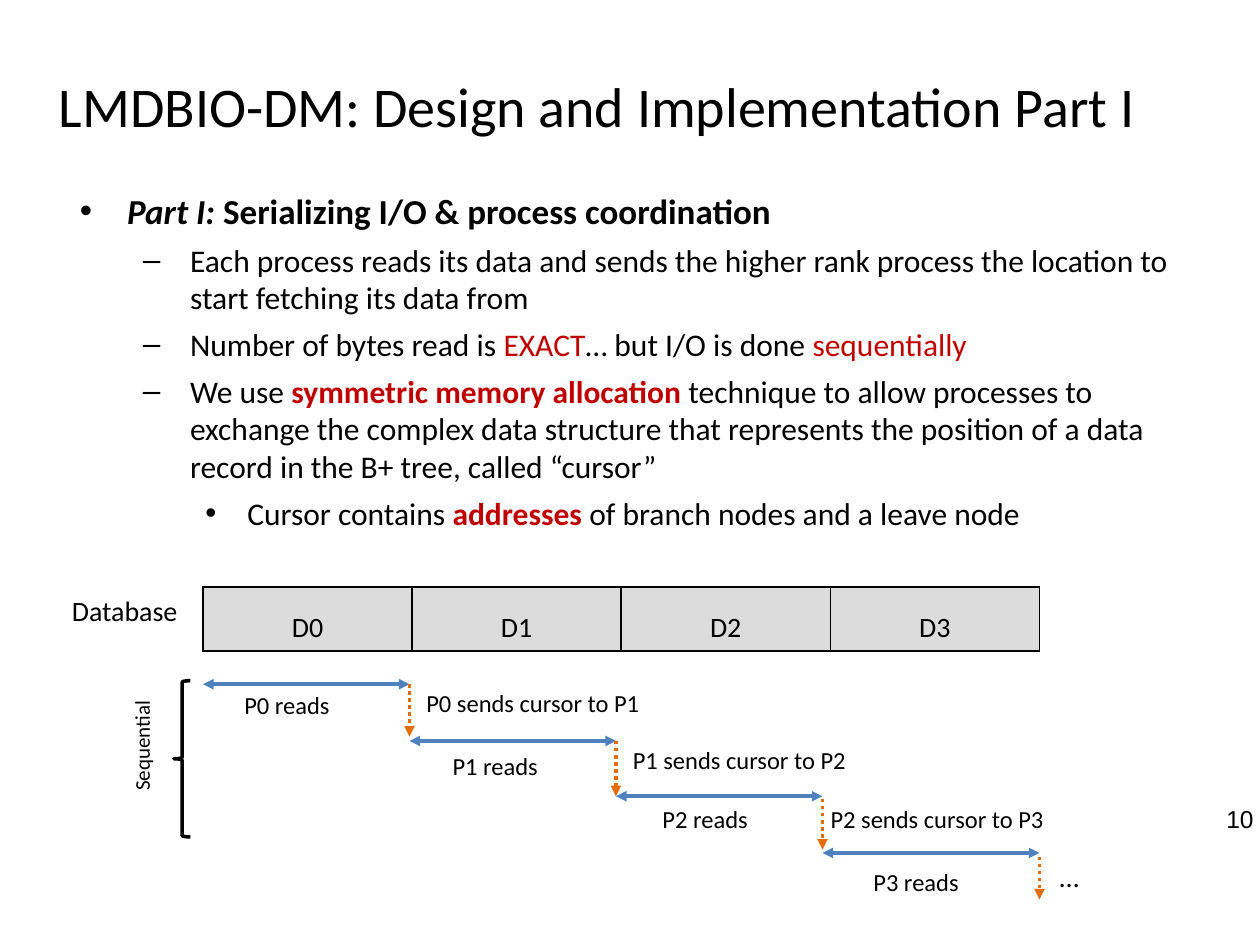
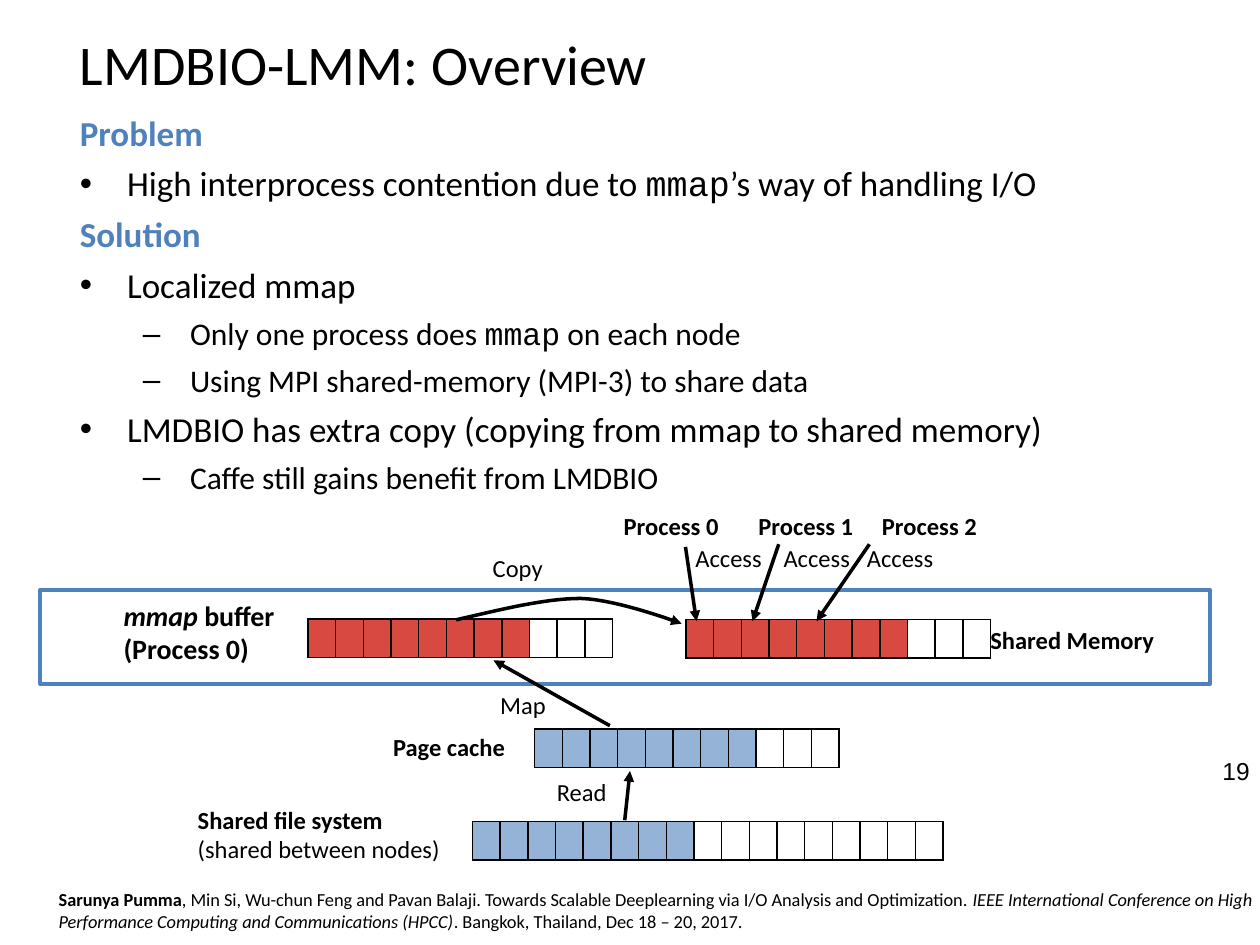
from typing import Any, NamedTuple

from lxml.etree import SubElement
from pptx import Presentation
from pptx.dml.color import RGBColor
from pptx.enum.dml import MSO_LINE
from pptx.enum.shapes import MSO_CONNECTOR, MSO_SHAPE
from pptx.enum.text import MSO_ANCHOR, MSO_AUTO_SIZE, PP_ALIGN
from pptx.oxml.ns import qn
from pptx.util import Pt

HUES = {
    "ink": "000000", "blue": "4F81BD", "red": "C00000", "orange": "E46C0A",
    "gray": "DCDCDC", "sky": "95B3D7", "brick": "D84942",
}
BOLD = {"bold": True}
ITALIC = {"italic": True}
CODE = {"name": "Courier New"}
HEAD = {"bold": True, "hue": "blue"}
RED = {"hue": "red"}
KEY = {"bold": True, "hue": "red"}
INSET = Pt(3.6)
MARKS = {0: ("•", 27, 27), 1: ("–", 63, 27), 2: ("•", 95.76, 24)}
SIZES = {None: 20, 0: 20, 1: 18, 2: 18}
CELL_W, CELL_H, USED = 15.82, 22, 8


class Run(NamedTuple):
    text: str
    form: dict[str, Any] = {}


class Item(NamedTuple):
    level: int | None
    runs: list[Run]


class Label(NamedTuple):
    left: float
    top: float
    width: float
    height: float
    lines: list[list[Run]]
    size: float = 14


class Step(NamedTuple):
    """One process: its read span, then the cursor drop to the next one."""
    left: float
    right: float
    top: float
    read: tuple[float, float]
    drop: tuple[float, float]
    note: Label


class Strip(NamedTuple):
    left: float
    top: float
    count: int
    hue: str


class Arrow(NamedTuple):
    x1: float
    y1: float
    x2: float
    y2: float


def rgb(hue: str) -> RGBColor:
    return RGBColor.from_string(HUES[hue])


def add_runs(para, runs: list[Run], size: float) -> None:
    for text, form in runs:
        run = para.add_run()
        run.text = text
        look = {"name": "Calibri", "size": Pt(size), "hue": "ink"} | form
        run.font.color.rgb = rgb(look.pop("hue"))
        for key, value in look.items():
            setattr(run.font, key, value)


def set_frame(frame, anchor=MSO_ANCHOR.TOP) -> None:
    form = {
        "word_wrap": True, "auto_size": MSO_AUTO_SIZE.NONE, "vertical_anchor": anchor,
        "margin_left": INSET, "margin_right": INSET,
        "margin_top": INSET, "margin_bottom": INSET,
    }
    for key, value in form.items():
        setattr(frame, key, value)


def add_label(slide, label: Label):
    box = slide.shapes.add_textbox(*map(Pt, label[:4]))
    frame = box.text_frame
    set_frame(frame)
    for i, runs in enumerate(label.lines):
        para = frame.add_paragraph() if i else frame.paragraphs[0]
        add_runs(para, runs, label.size)
    return box


def add_word(slide, text: str, left: float, top: float, width: float,
             form: dict[str, Any] = {}) -> None:
    add_label(slide, Label(left, top, width, 24.3, [[Run(text, form)]]))


def add_body(slide, top: float, width: float, height: float, items: list[Item]) -> None:
    box = slide.shapes.add_textbox(Pt(42), Pt(top), Pt(width), Pt(height))
    frame = box.text_frame
    set_frame(frame)
    for i, (level, runs) in enumerate(items):
        para = frame.add_paragraph() if i else frame.paragraphs[0]
        if i:
            para.space_before = Pt(5)
        if level is not None:
            mark, left, hang = MARKS[level]
            para.level = level
            props = para._p.get_or_add_pPr()
            props.set("marL", str(Pt(left)))
            props.set("indent", str(-Pt(hang)))
            SubElement(props, qn("a:buFont")).set("typeface", "Arial")
            SubElement(props, qn("a:buChar")).set("char", mark)
        add_runs(para, runs, SIZES[level])


def start_slide(deck, title: str, left: float, top: float, width: float):
    slide = deck.slides.add_slide(deck.slide_layouts[5])
    head = slide.shapes.title
    box = {"left": left, "top": top, "width": width, "height": 84}
    for key, value in box.items():
        setattr(head, key, Pt(value))
    set_frame(head.text_frame, MSO_ANCHOR.MIDDLE)
    para = head.text_frame.paragraphs[0]
    para.alignment = PP_ALIGN.LEFT
    add_runs(para, [Run(title)], 32)
    return slide


def add_number(slide, text: str, right: float, top: float) -> None:
    run = Run(text, {"name": "Arial"})
    box = add_label(slide, Label(right - 30, top, 30, 23, [[run]]))
    box.text_frame.paragraphs[0].alignment = PP_ALIGN.RIGHT


def add_ends(shape, *ends: str) -> None:
    line = shape.element.spPr.find(qn("a:ln"))
    for end in ends:
        SubElement(line, qn(f"a:{end}")).set("type", "triangle")


def add_arrow(slide, arrow: Arrow, hue: str = "ink", both: bool = False,
              dash=None) -> None:
    link = slide.shapes.add_connector(MSO_CONNECTOR.STRAIGHT, *map(Pt, arrow))
    link.line.color.rgb = rgb(hue)
    link.line.width = Pt(2)
    if dash:
        link.line.dash_style = dash
    add_ends(link, *(["headEnd"] if both else []), "tailEnd")
    SubElement(link.element.spPr, qn("a:effectLst"))


def set_outline(shape, hue: str) -> None:
    shape.shadow.inherit = False
    shape.fill.background()
    shape.line.color.rgb = rgb(hue)
    shape.line.width = Pt(2)


def add_row(slide, left: float, top: float, width: float, height: float,
            fills: list[str | None]) -> list:
    """Draw a one-row table with thin black borders and return its cells."""
    count = len(fills)
    grid = slide.shapes.add_table(
        1, count, Pt(left), Pt(top), Pt(width * count), Pt(height)).table
    grid.first_row = grid.horz_banding = False
    for col in grid.columns:
        col.width = Pt(width)
    cells = [grid.cell(0, i) for i in range(count)]
    for cell, fill in zip(cells, fills):
        for side in ("left", "right", "top", "bottom"):
            setattr(cell, f"margin_{side}", 0)
        cell.vertical_anchor = MSO_ANCHOR.MIDDLE
        props = cell._tc.get_or_add_tcPr()
        for side in ("lnL", "lnR", "lnT", "lnB"):
            line = SubElement(props, qn(f"a:{side}"), w=str(Pt(1)))
            paint = SubElement(line, qn("a:solidFill"))
            SubElement(paint, qn("a:srgbClr"), val=HUES["ink"])
        if fill:
            cell.fill.solid()
            cell.fill.fore_color.rgb = rgb(fill)
        else:
            cell.fill.background()
    return cells


def add_curve(slide, *knots: tuple[float, float]) -> None:
    """Draw chained cubic curves as one open outline with an arrowhead."""
    points = []
    for at in range(0, len(knots) - 1, 3):
        for n in range(1, 17):
            t = n / 16
            parts = ((1 - t) ** 3, 3 * t * (1 - t) ** 2, 3 * t * t * (1 - t), t ** 3)
            points.append(tuple(
                Pt(sum(p * k[axis] for p, k in zip(parts, knots[at:at + 4])))
                for axis in (0, 1)))
    pen = slide.shapes.build_freeform(*map(Pt, knots[0]))
    pen.add_line_segments(points, close=False)
    shape = pen.convert_to_shape()
    set_outline(shape, "ink")
    add_ends(shape, "tailEnd")


def draw_design(deck) -> None:
    slide = start_slide(deck, "LMDBIO-DM: Design and Implementation Part I", 30, 18, 642)
    add_body(slide, 105, 642, 225, [
        Item(0, [Run("Part I: ", BOLD | ITALIC),
                 Run("Serializing I/O & process coordination", BOLD)]),
        Item(1, [Run("Each process reads its data and sends the higher rank process "
                     "the location to start fetching its data from")]),
        Item(1, [Run("Number of bytes read is "), Run("EXACT", RED),
                 Run("… but I/O is done "), Run("sequentially", RED)]),
        Item(1, [Run("We use "), Run("symmetric memory allocation ", KEY),
                 Run("technique to allow processes to exchange the complex data "
                     "structure that represents the position of a data record in "
                     "the B+ tree, called “cursor”")]),
        Item(2, [Run("Cursor contains "), Run("addresses", KEY),
                 Run(" of branch nodes and a leave node")]),
    ])
    add_number(slide, "10", 720, 456)

    for i, cell in enumerate(add_row(slide, 116, 335.5, 119.5, 36.5, ["gray"] * 4)):
        para = cell.text_frame.paragraphs[0]
        para.alignment = PP_ALIGN.CENTER
        para.line_spacing = 1.5
        add_runs(para, [Run(f"D{i}")], 16)
    add_label(slide, Label(37.5, 335.5, 78, 26.6, [[Run("Database")]], 16))

    brace = slide.shapes.add_shape(
        MSO_SHAPE.LEFT_BRACE, Pt(99.4), Pt(389), Pt(9.4), Pt(89.3))
    set_outline(brace, "ink")
    side = add_label(slide, Label(40.3, 404, 81.4, 21.6, [[Run("Sequential")]], 12))
    side.rotation = 270

    def sends(i: int, left: float, top: float) -> Label:
        return Label(left, top, 168, 24, [[Run(f"P{i} sends cursor to P{i + 1}")]])

    steps = [
        Step(116, 234, 391, (136, 391), (391, 421), sends(0, 240, 389.5)),
        Step(234, 352, 423.4, (255, 425.5), (423.4, 455), sends(1, 358, 422)),
        Step(352, 470, 455, (375, 456), (456.5, 485.5), sends(2, 471, 456)),
        Step(470, 594, 487.4, (495.5, 492), (489.6, 514),
             Label(602, 487.4, 31, 26.6, [[Run("…")]], 16)),
    ]
    for i, step in enumerate(steps):
        add_arrow(slide, Arrow(step.left, step.top, step.right, step.top), "blue", True)
        add_arrow(slide, Arrow(step.right, step.drop[0], step.right, step.drop[1]),
                  "orange", dash=MSO_LINE.ROUND_DOT)
        add_word(slide, f"P{i} reads", *step.read, 60.5)
        add_label(slide, step.note)


def draw_overview(deck) -> None:
    slide = start_slide(deck, "LMDBIO-LMM: Overview", 42, -6, 612)
    add_body(slide, 60, 612, 444, [
        Item(None, [Run("Problem", HEAD)]),
        Item(0, [Run("High interprocess contention due to "), Run("mmap", CODE),
                 Run("’s way of handling I/O")]),
        Item(None, [Run("Solution", HEAD)]),
        Item(0, [Run("Localized mmap")]),
        Item(1, [Run("Only one process does "), Run("mmap", CODE),
                 Run(" on each node")]),
        Item(1, [Run("Using MPI shared-memory (MPI-3) to share data")]),
        Item(0, [Run("LMDBIO has extra copy (copying from mmap to shared memory)")]),
        Item(1, [Run("Caffe still gains benefit from LMDBIO")]),
    ])
    add_number(slide, "19", 717.8, 428.4)

    frame = slide.shapes.add_shape(
        MSO_SHAPE.RECTANGLE, Pt(23), Pt(337), Pt(668.5), Pt(54))
    set_outline(frame, "blue")
    strips = [
        Strip(270, 469.5, 17, "sky"), Strip(305.5, 416.6, 11, "sky"),
        Strip(176, 353.7, 11, "brick"), Strip(392, 354, 11, "brick"),
    ]
    for left, top, count, hue in strips:
        fills = [hue] * USED + [None] * (count - USED)
        add_row(slide, left, top, CELL_W, CELL_H, fills)

    labels = [
        Label(109.4, 456.5, 178.5, 41, [[Run("Shared file system", BOLD)],
                                        [Run("(shared between nodes)")]]),
        Label(67, 338.4, 121, 46, [[Run("mmap ", BOLD | ITALIC), Run("buffer", BOLD)],
                                   [Run("(Process 0)", BOLD)]], 16),
        Label(30, 504, 690, 34, [[
            Run("Sarunya Pumma", BOLD),
            Run(", Min Si, Wu-chun Feng and Pavan Balaji. Towards Scalable "
                "Deeplearning via I/O Analysis and Optimization. "),
            Run("IEEE International Conference on High Performance Computing and "
                "Communications (HPCC)", ITALIC),
            Run(". Bangkok, Thailand, Dec 18 – 20, 2017.")]], 10.5),
    ]
    for label in labels:
        add_label(slide, label)
    add_word(slide, "Page cache", 221, 414.7, 90, BOLD)
    add_word(slide, "Shared Memory", 562.3, 353.5, 129, BOLD)
    for text, left, top in (("Read", 314.6, 440.6), ("Map", 282.2, 391), ("Copy", 278, 312.5)):
        add_word(slide, text, left, top, 47)
    for i, (name, access) in enumerate(((352.8, 393.8), (429.8, 444.2), (500.4, 491.8))):
        add_word(slide, f"Process {i}", name, 288.7, 80, BOLD)
        add_word(slide, "Access", access, 306.7, 50)

    arrows = [
        Arrow(357, 468.7, 360, 440.6), Arrow(348.5, 414.7, 282, 377.3),
        Arrow(391.7, 312.5, 398, 355), Arrow(445, 311, 430, 355),
        Arrow(496.8, 311, 466.6, 355),
    ]
    for arrow in arrows:
        add_arrow(slide, arrow)
    add_curve(slide, (260.6, 354.2), (285.8, 348.5), (311, 342), (332, 342),
              (353.5, 342.7), (389.5, 356.4), (389.5, 356.4))


def main() -> None:
    deck = Presentation()
    deck.slide_width, deck.slide_height = Pt(720), Pt(540)
    draw_design(deck)
    draw_overview(deck)
    deck.save("out.pptx")


if __name__ == "__main__":
    main()
